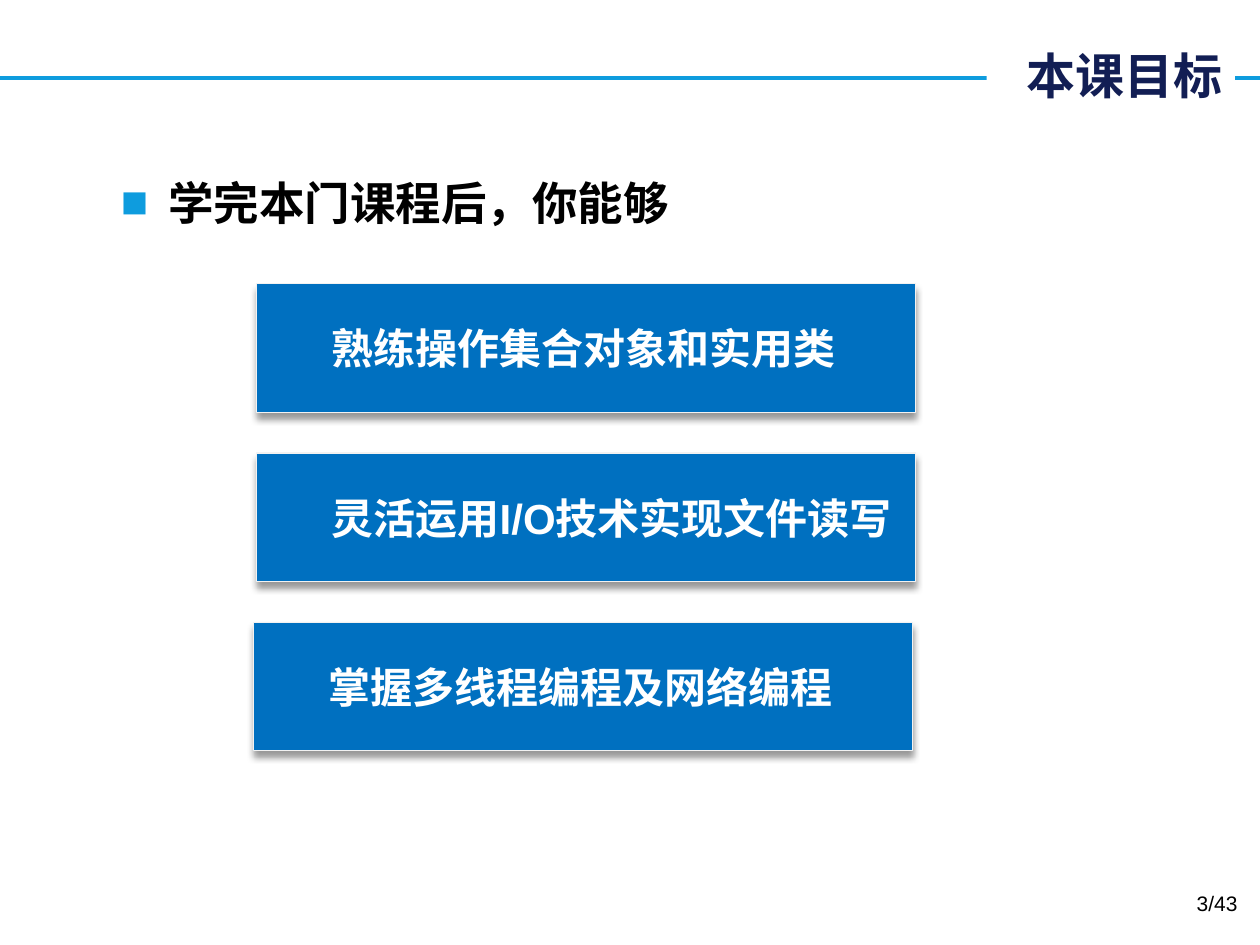
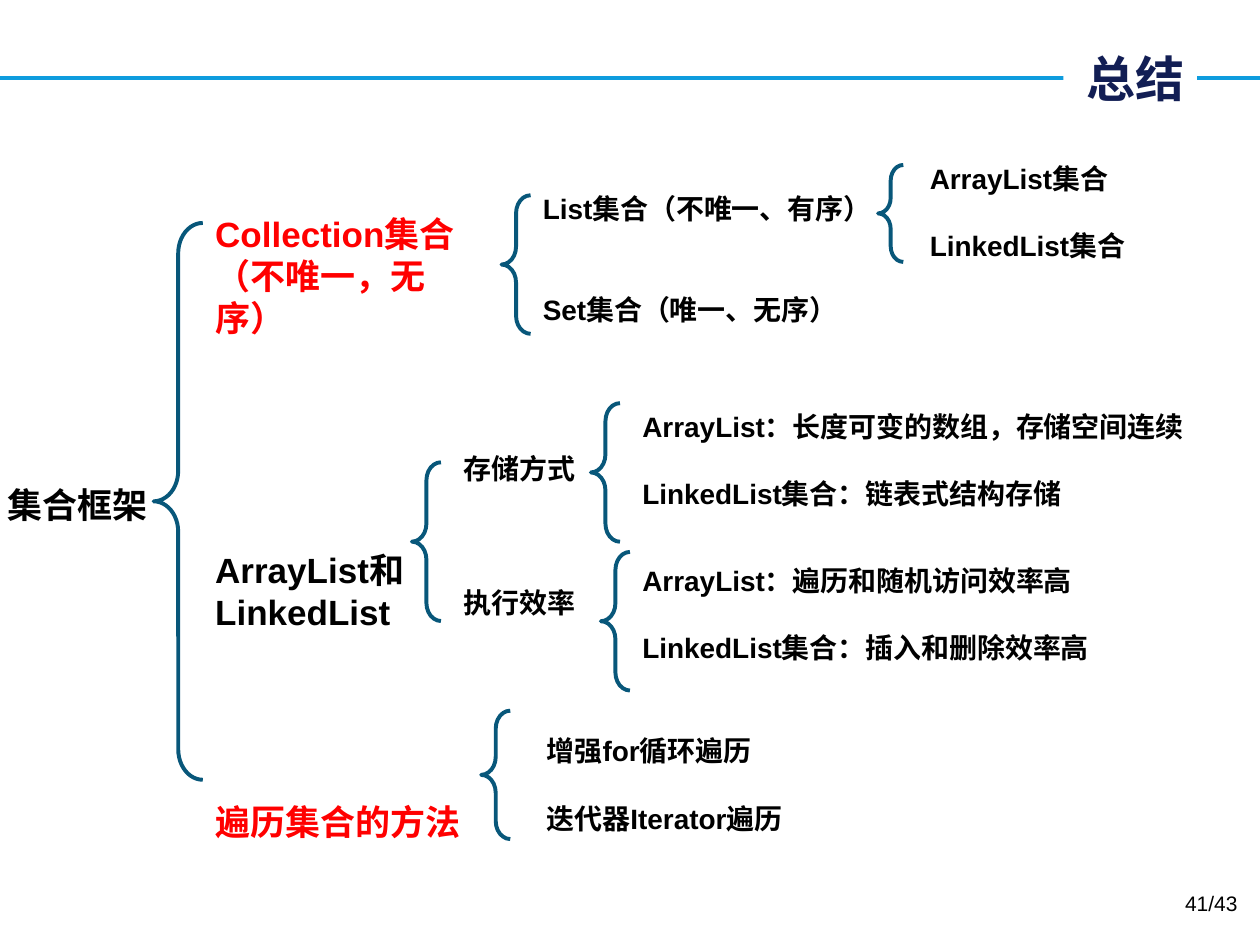
from lxml.etree import SubElement
from pptx import Presentation
from pptx.dml.color import RGBColor
from pptx.enum.shapes import MSO_CONNECTOR, MSO_SHAPE
from pptx.enum.text import MSO_ANCHOR, MSO_AUTO_SIZE, PP_ALIGN
from pptx.oxml import parse_xml
from pptx.oxml.ns import nsdecls, qn
from pptx.util import Pt

SKY = RGBColor(0x0E, 0x9C, 0xDE)
NAVY = RGBColor(0x12, 0x1E, 0x54)
BLUE = RGBColor(0x00, 0x70, 0xC0)
TEAL = RGBColor(0x08, 0x57, 0x7A)
PALE = RGBColor(0xF2, 0xF2, 0xF2)
RED = RGBColor(0xFF, 0x00, 0x00)
BLACK = RGBColor(0x00, 0x00, 0x00)
WHITE = RGBColor(0xFF, 0xFF, 0xFF)
SHADOW = (
    f'<a:effectLst {nsdecls("a")}><a:outerShdw blurRad="{Pt(4)}" dist="{Pt(3)}" '
    'dir="5400000" algn="t" rotWithShape="0"><a:srgbClr val="000000">'
    '<a:alpha val="40000"/></a:srgbClr></a:outerShdw></a:effectLst>'
)


def write(shape, rows, size, align=PP_ALIGN.LEFT, bold=True, face="Arial"):
    frame = shape.text_frame
    frame.word_wrap = True
    frame.auto_size = MSO_AUTO_SIZE.NONE
    for i, (text, color, gap) in enumerate(rows):
        para = frame.add_paragraph() if i else frame.paragraphs[0]
        form = {"alignment": align, "line_spacing": Pt(size * 1.2),
                "space_before": Pt(gap * size * 1.2)}
        for key, value in form.items():
            setattr(para, key, value)
        run = para.add_run()
        run.text = text
        style = {"name": face, "size": Pt(size), "bold": bold}
        for key, value in style.items():
            setattr(run.font, key, value)
        run.font.color.rgb = color
        props = run._r.get_or_add_rPr()
        props.set("lang", "zh-CN")
        SubElement(props, qn("a:ea")).set("typeface", face)


def hang(shape, left, first):
    props = shape.text_frame.paragraphs[0]._p.get_or_add_pPr()
    props.set("marL", str(Pt(left)))
    props.set("indent", str(Pt(first)))
    return props


deck = Presentation()
deck.slide_width, deck.slide_height = Pt(720), Pt(540)

heads = [
    ("本课目标", "3/43", (563.8, 22.3, 141.8, 41)),
    ("总结", "41/43", (607.7, 21.6, 76.3, 46.1)),
]
pages = []
for text, number, area in heads:
    page = deck.slides.add_slide(deck.slide_layouts[5])
    title = page.shapes.title
    for key, value in zip(("left", "top", "width", "height"), area):
        setattr(title, key, Pt(value))
    title.fill.solid()
    title.fill.fore_color.rgb = WHITE
    title.text_frame.vertical_anchor = MSO_ANCHOR.MIDDLE
    write(title, [(text, NAVY, 0)], 28, PP_ALIGN.RIGHT, face="Noto Sans CJK SC")
    rule = page.shapes.add_connector(
        MSO_CONNECTOR.STRAIGHT, Pt(0), Pt(44.8), Pt(720), Pt(44.8))
    rule.line.color.rgb = SKY
    rule.line.width = Pt(2.25)
    SubElement(rule._element.spPr, qn("a:effectLst"))
    title._element.addprevious(rule._element)
    foot = page.shapes.add_textbox(Pt(546.5), Pt(505.4), Pt(167.8), Pt(28.8))
    write(foot, [(number, BLACK, 0)], 12, PP_ALIGN.RIGHT, False)
    pages.append(page)
goals, recap = pages

lead = goals.shapes.add_textbox(Pt(62), Pt(96.3), Pt(602), Pt(45))
write(lead, [("学完本门课程后，你能够", BLACK, 0)], 26)
props = hang(lead, 27, -27)
tint = SubElement(SubElement(props, qn("a:buClr")), qn("a:srgbClr"))
tint.set("val", str(SKY))
SubElement(props, qn("a:buFont")).set("typeface", "Arial")
SubElement(props, qn("a:buChar")).set("char", "■")

cards = [
    ("熟练操作集合对象和实用类", 146.5),
    ("灵活运用I/O技术实现文件读写", 146.5),
    ("掌握多线程编程及网络编程", 144.7),
]
for i, (text, left) in enumerate(cards):
    card = goals.shapes.add_shape(
        MSO_SHAPE.RECTANGLE, Pt(left), Pt(162.2 + 96.7 * i), Pt(376.6), Pt(73.4))
    card.fill.solid()
    card.fill.fore_color.rgb = BLUE
    card.line.color.rgb = PALE
    card.line.width = Pt(0.75)
    card._element.spPr.append(parse_xml(SHADOW))
    card.text_frame.vertical_anchor = MSO_ANCHOR.MIDDLE
    write(card, [(text, WHITE, 0)], 24)
    hang(card, 58.5, -22.5)

braces = [
    (87.8, 127.4, 28.1, 318.2),
    (235.4, 264.2, 16.6, 90.7),
    (286.6, 111.6, 16.6, 79.2),
    (501.8, 94.3, 14.4, 55.4),
    (337.7, 230.4, 16.6, 79.2),
    (343.4, 315.4, 16.6, 79.2),
    (275, 406.1, 16.6, 73.4),
]
for area in braces:
    brace = recap.shapes.add_shape(MSO_SHAPE.LEFT_BRACE, *map(Pt, area))
    brace.shadow.inherit = False
    brace.fill.background()
    brace.line.color.rgb = TEAL
    brace.line.width = Pt(2.25)
    brace.adjustments[0] = 0.62

root = recap.shapes.add_textbox(Pt(-27.4), Pt(272.9), Pt(143.3), Pt(31.7))
write(root, [("集合框架", BLACK, 0)], 20, PP_ALIGN.CENTER)

notes = [
    ((115.9, 118.1, 167.8, 395.3), 20, [
        ("Collection集合", RED, 0),
        ("（不唯一，无序）", RED, 0),
        ("ArrayList和LinkedList", BLACK, 5),
        ("遍历集合的方法", RED, 4)]),
    ((257.8, 254.2, 296.6, 143.3), 16, [
        ("存储方式", BLACK, 0), ("执行效率", BLACK, 3)]),
    ((303.1, 105.8, 238.3, 85), 16, [
        ("List集合（不唯一、有序）", BLACK, 0),
        ("Set集合（唯一、无序）", BLACK, 2)]),
    ((524.2, 88.6, 159.8, 65.5), 16, [
        ("ArrayList集合", BLACK, 0), ("LinkedList集合", BLACK, 1)]),
    ((360, 230.4, 345.6, 65.5), 16, [
        ("ArrayList：长度可变的数组，存储空间连续", BLACK, 0),
        ("LinkedList集合：链表式结构存储", BLACK, 1)]),
    ((360, 318.2, 345.6, 65.5), 16, [
        ("ArrayList：遍历和随机访问效率高", BLACK, 0),
        ("LinkedList集合：插入和删除效率高", BLACK, 1)]),
    ((305.3, 415.9, 353.5, 104.6), 16, [
        ("增强for循环遍历", BLACK, 0), ("迭代器Iterator遍历", BLACK, 1)]),
]
for area, size, rows in notes:
    note = recap.shapes.add_textbox(*map(Pt, area))
    write(note, rows, size)

deck.save("out.pptx")
